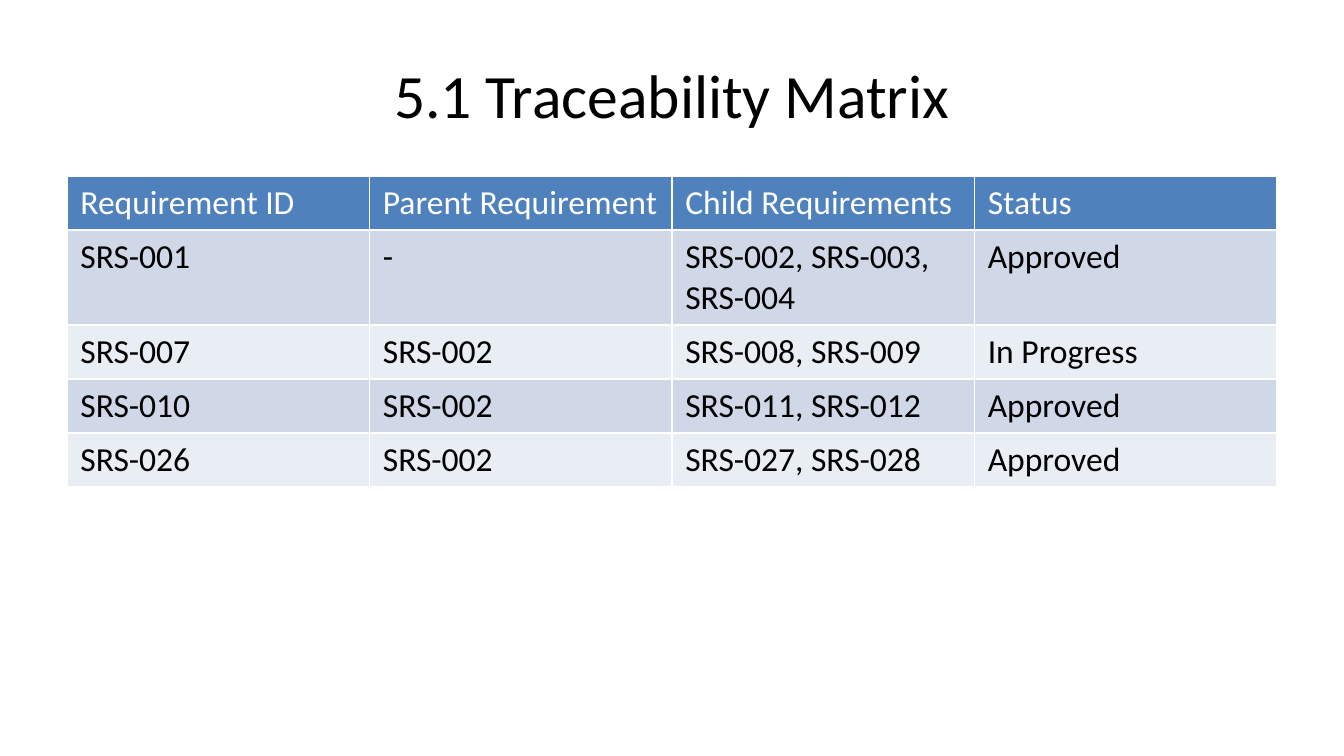
from pptx import Presentation
from pptx.dml.color import RGBColor
from pptx.enum.text import MSO_ANCHOR, PP_ALIGN
from pptx.util import Emu, Pt

TITLE = "5.1 Traceability Matrix"
ROWS = [
    ("Requirement ID", "Parent Requirement", "Child Requirements", "Status"),
    ("SRS-001", "-", "SRS-002, SRS-003, SRS-004", "Approved"),
    ("SRS-007", "SRS-002", "SRS-008, SRS-009", "In Progress"),
    ("SRS-010", "SRS-002", "SRS-011, SRS-012", "Approved"),
    ("SRS-026", "SRS-002", "SRS-027, SRS-028", "Approved"),
]
ROW_HEIGHTS = [54, 95, 54, 54, 54]
HEADER_FILL = "4F81BD"
BAND_FILLS = ["D0D8E8", "E9EDF4"]
TITLE_FONT = {"name": "Calibri", "size": Pt(33), "bold": False}
CELL_FONT = {"name": "Calibri", "size": Pt(18), "bold": False}
LEFT, WIDTH = 67, 1210
TITLE_TOP, TITLE_HEIGHT = 31, 126
TABLE_TOP = 176


def px(length):
    return Emu(round(length * 914400 / 134.4))


def color(value):
    return RGBColor.from_string(value)


def write(frame, text, font, ink):
    para = frame.paragraphs[0]
    span = para.add_run()
    span.text = text
    for name, value in font.items():
        setattr(span.font, name, value)
    span.font.color.rgb = color(ink)
    return para


def add_title(page):
    box = page.shapes.add_textbox(px(LEFT), px(TITLE_TOP), px(WIDTH), px(TITLE_HEIGHT))
    frame = box.text_frame
    frame.word_wrap = True
    frame.vertical_anchor = MSO_ANCHOR.MIDDLE
    write(frame, TITLE, TITLE_FONT, "000000").alignment = PP_ALIGN.CENTER


def add_matrix(page):
    table = page.shapes.add_table(
        len(ROWS), len(ROWS[0]), px(LEFT), px(TABLE_TOP), px(WIDTH), px(sum(ROW_HEIGHTS))
    ).table
    for row, height in zip(table.rows, ROW_HEIGHTS):
        row.height = px(height)
    for row_index, texts in enumerate(ROWS):
        header = row_index == 0
        fill = HEADER_FILL if header else BAND_FILLS[(row_index - 1) % 2]
        ink = "FFFFFF" if header else "000000"
        for column_index, text in enumerate(texts):
            cell = table.cell(row_index, column_index)
            cell.fill.solid()
            cell.fill.fore_color.rgb = color(fill)
            write(cell.text_frame, text, CELL_FONT, ink)


def main():
    deck = Presentation()
    deck.slide_width, deck.slide_height = px(1344), px(756)
    page = deck.slides.add_slide(deck.slide_layouts[6])
    add_title(page)
    add_matrix(page)
    deck.save("out.pptx")


if __name__ == "__main__":
    main()
